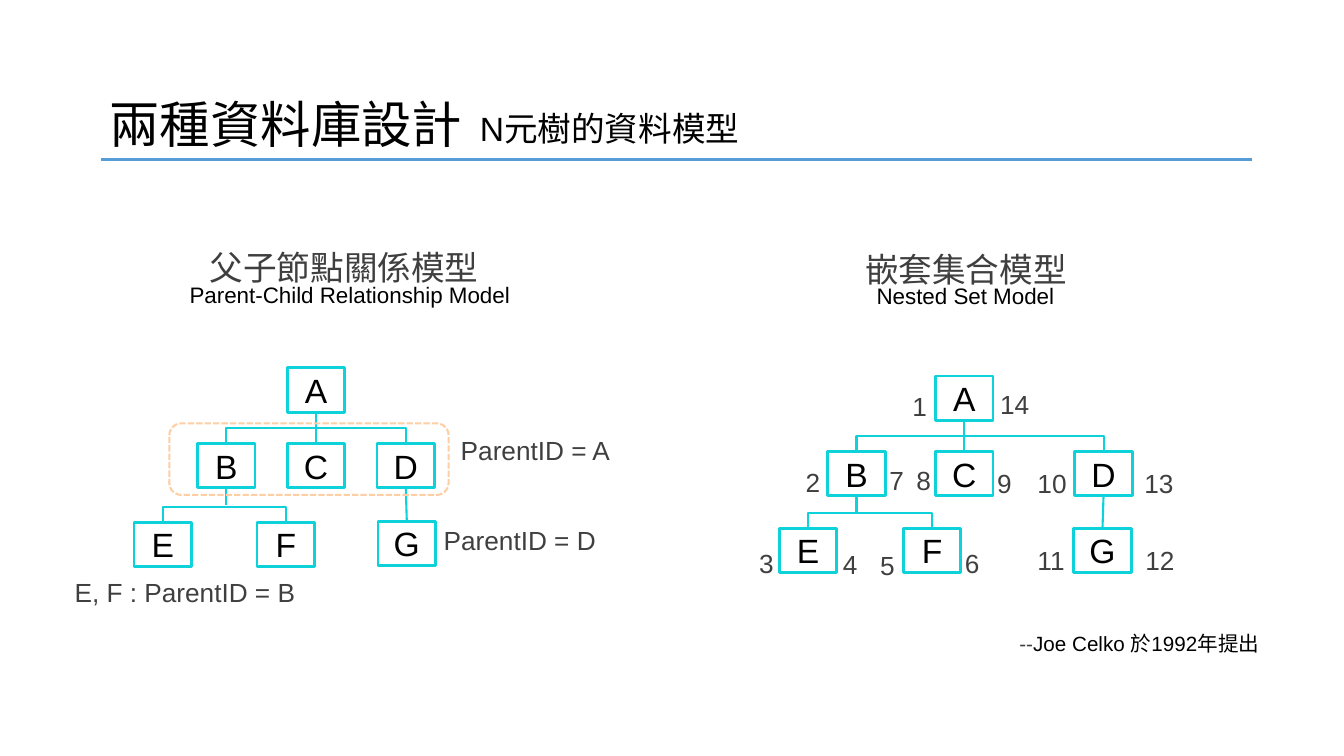
"""Builds a slide comparing two database models for n-ary trees."""
from pptx import Presentation
from pptx.dml.color import RGBColor
from pptx.enum.dml import MSO_LINE
from pptx.enum.shapes import MSO_CONNECTOR, MSO_SHAPE
from pptx.enum.text import MSO_ANCHOR, PP_ALIGN
from pptx.oxml.ns import qn
from pptx.util import Inches, Pt
from lxml import etree

COLORS = {"black": "000000", "gray": "3F3F3F", "teal": "0DD2D9",
          "peach": "FECFA5", "blue": "569CD6"}
NODE_WIDTH, NODE_HEIGHT = 0.57, 0.44
BAR_RISE, BAR_SLOPE = 0.16, 0.02


def write(box, spans, size, align=PP_ALIGN.LEFT, anchor=MSO_ANCHOR.TOP):
    frame = box.text_frame
    frame.word_wrap = True
    frame.vertical_anchor = anchor
    frame.margin_left = frame.margin_right = Inches(0.13)
    frame.margin_top = frame.margin_bottom = Inches(0.07)
    para = frame.paragraphs[0]
    para.alignment = align
    for text, color in spans:
        span = para.add_run()
        span.text = text
        span.font.size = Pt(size)
        span.font.name = "Arial"
        span.font.color.rgb = RGBColor.from_string(COLORS[color])


def draw_line(kind, start, end, color="teal", width=1.5):
    line = page.shapes.add_connector(kind, *map(Inches, start + end))
    line.line.color.rgb = RGBColor.from_string(COLORS[color])
    line.line.width = Pt(width)
    etree.SubElement(line._element.spPr, qn("a:effectLst"))
    return line


deck = Presentation()
deck.slide_width, deck.slide_height = Inches(13.33), Inches(7.5)
page = deck.slides.add_slide(deck.slide_layouts[6])

headings = [
    ("兩種資料庫設計", 0.76, 0.77, 4.15, 0.9, 36),
    ("N元樹的資料模型", 4.37, 1.05, 3.35, 0.44, 24),
]
for text, left, top, width, height, size in headings:
    box = page.shapes.add_textbox(*map(Inches, (left, top, width, height)))
    write(box, [(text, "black")], size, PP_ALIGN.CENTER, MSO_ANCHOR.MIDDLE)
draw_line(MSO_CONNECTOR.STRAIGHT, (1, 1.58), (12.42, 1.58), "blue", 2.25)

trees = [
    {"A": (2.85, 3.65), "B": (1.96, 4.4), "C": (2.85, 4.4), "D": (3.74, 4.4),
     "E": (1.33, 5.18), "F": (2.55, 5.18), "G": (3.75, 5.17)},
    {"A": (9.28, 3.73), "B": (8.21, 4.48), "C": (9.28, 4.48), "D": (10.66, 4.48),
     "E": (7.73, 5.24), "F": (8.96, 5.24), "G": (10.65, 5.24)},
]
for tree in trees:
    nodes = {}
    for name, (left, top) in tree.items():
        node = page.shapes.add_shape(MSO_SHAPE.RECTANGLE, Inches(left), Inches(top),
                                     Inches(NODE_WIDTH), Inches(NODE_HEIGHT))
        node.shadow.inherit = False
        node.fill.background()
        node.line.color.rgb = RGBColor.from_string(COLORS["teal"])
        node.line.width = Pt(2)
        write(node, [(name, "black")], 24, PP_ALIGN.CENTER, MSO_ANCHOR.MIDDLE)
        nodes[name] = node

    for first, last in ("BD", "EF"):
        span_width = tree[last][0] - tree[first][0]
        middle_x = tree[first][0] + (NODE_WIDTH + span_width) / 2
        middle_y = tree[first][1]
        bracket = draw_line(
            MSO_CONNECTOR.ELBOW,
            (middle_x + BAR_SLOPE / 2, middle_y + span_width / 2),
            (middle_x - BAR_SLOPE / 2, middle_y - span_width / 2))
        properties = bracket._element.spPr
        properties.find(qn("a:xfrm")).set("rot", "5400000")
        adjustments = properties.find(qn("a:prstGeom")).find(qn("a:avLst"))
        etree.SubElement(adjustments, qn("a:gd"), name="adj1",
                         fmla=f"val {round(BAR_RISE / BAR_SLOPE * 100000)}")

    for parent, child in ("AC", "DG"):
        link = draw_line(MSO_CONNECTOR.STRAIGHT, tree[parent], tree[child])
        link.begin_connect(nodes[parent], 2)
        link.end_connect(nodes[child], 0)

    left, top = tree["B"]
    stub_x, stub_y = left + NODE_WIDTH / 2, top + NODE_HEIGHT
    stub = draw_line(MSO_CONNECTOR.STRAIGHT, (stub_x, stub_y), (stub_x, stub_y + 0.17))
    stub.begin_connect(nodes["B"], 2)

siblings = page.shapes.add_shape(MSO_SHAPE.ROUNDED_RECTANGLE, Inches(1.68), Inches(4.2),
                                 Inches(2.77), Inches(0.71))
siblings.shadow.inherit = False
siblings.fill.background()
siblings.line.color.rgb = RGBColor.from_string(COLORS["peach"])
siblings.line.width = Pt(1.5)
siblings.line.dash_style = MSO_LINE.SQUARE_DOT
siblings.line._ln.find(qn("a:prstDash")).set("val", "sysDash")

captions = [
    ("父子節點關係模型", 1.95, 2.38, 3.08, 0.6, 24, "gray", PP_ALIGN.LEFT),
    ("嵌套集合模型", 8.45, 2.4, 2.28, 0.6, 24, "gray", PP_ALIGN.LEFT),
    ("Parent-Child Relationship Model", 1.75, 2.72, 3.48, 0.46, 16, "black", PP_ALIGN.LEFT),
    ("Nested Set Model", 8.05, 2.73, 3.05, 0.46, 16, "black", PP_ALIGN.CENTER),
    ("ParentID = A", 4.44, 4.24, 1.77, 0.5, 18.7, "gray", PP_ALIGN.LEFT),
    ("ParentID = D", 4.27, 5.13, 1.82, 0.5, 18.7, "gray", PP_ALIGN.LEFT),
    ("E, F : ParentID = B", 0.61, 5.65, 3.22, 0.5, 18.7, "gray", PP_ALIGN.LEFT),
]
for text, left, top, width, height, size, color, align in captions:
    box = page.shapes.add_textbox(*map(Inches, (left, top, width, height)))
    write(box, [(text, color)], size, align)

set_bounds = [
    (8.92, 3.8), (7.86, 4.56), (7.4, 5.36), (8.23, 5.37), (8.6, 5.38),
    (9.44, 5.36), (8.69, 4.54), (8.96, 4.54), (9.76, 4.57), (10.16, 4.57),
    (10.16, 5.33), (11.23, 5.33), (11.22, 4.57), (9.79, 3.78),
]
for number, (left, top) in enumerate(set_bounds, start=1):
    width = 0.43 if number < 10 else 0.67
    box = page.shapes.add_textbox(Inches(left), Inches(top), Inches(width), Inches(0.44))
    write(box, [(str(number), "gray")], 18.7)

credit = page.shapes.add_textbox(Inches(9.98), Inches(6.19), Inches(2.69), Inches(0.6))
write(credit, [("--", "gray"), ("Joe Celko 於1992年提出", "black")], 14.7)

deck.save("out.pptx")
